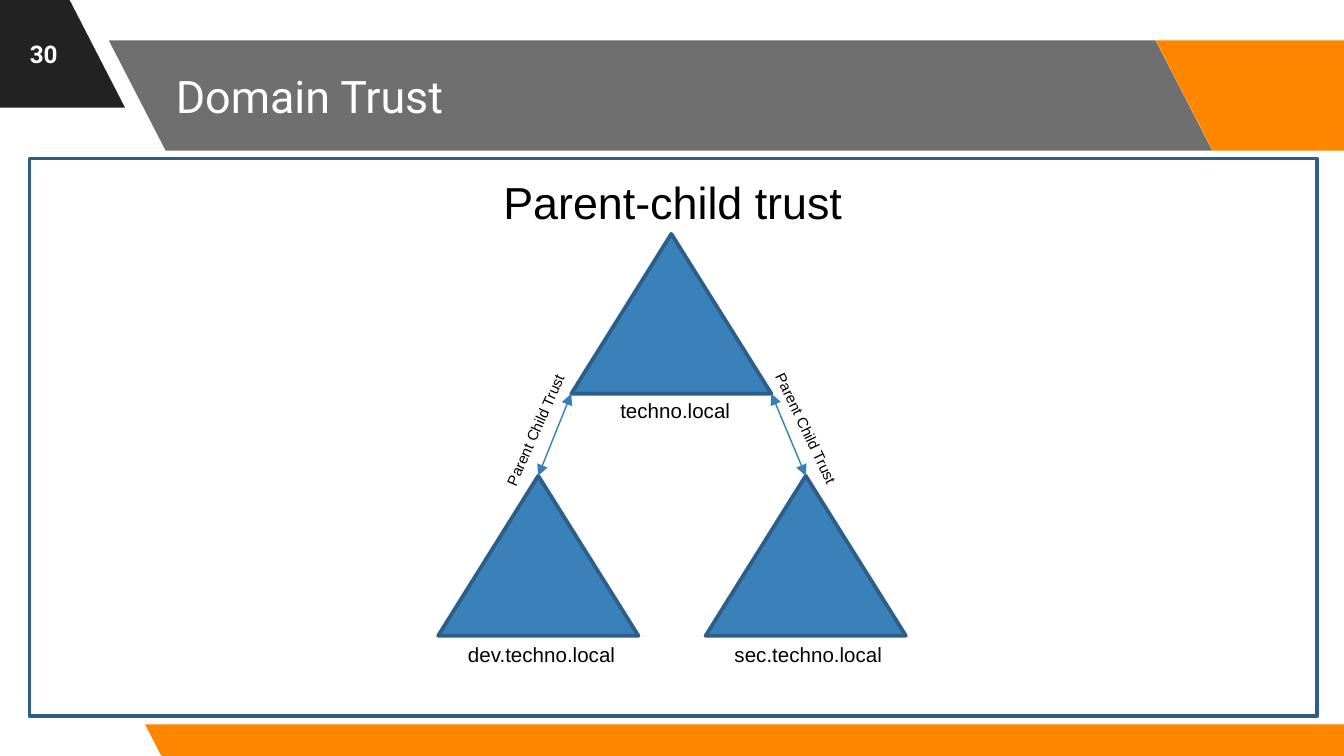
from pptx import Presentation
from pptx.dml.color import RGBColor
from pptx.enum.shapes import MSO_CONNECTOR, MSO_SHAPE
from pptx.enum.text import MSO_ANCHOR, MSO_AUTO_SIZE, PP_ALIGN
from pptx.oxml.ns import qn
from pptx.util import Inches, Pt
from lxml import etree

STRAIGHT = MSO_CONNECTOR.STRAIGHT
PARALLELOGRAM = MSO_SHAPE.PARALLELOGRAM
RECTANGLE = MSO_SHAPE.RECTANGLE
TRIANGLE = MSO_SHAPE.ISOSCELES_TRIANGLE
MIDDLE, TOP = MSO_ANCHOR.MIDDLE, MSO_ANCHOR.TOP
FIT_SHAPE, FIXED = MSO_AUTO_SIZE.SHAPE_TO_FIT_TEXT, MSO_AUTO_SIZE.NONE
LEFT, CENTER = PP_ALIGN.LEFT, PP_ALIGN.CENTER

COLORS = {
    "black": "000000",
    "white": "FFFFFF",
    "charcoal": "222222",
    "orange": "FF8700",
    "domain": "3A81BA",
    "outline": "2B5F8A",
    "trust": "367EB9",
}
DOMAIN_W, DOMAIN_H = 1.49, 1.19


def color(name):
    return RGBColor.from_string(COLORS[name])


class TrustSlide:
    def __init__(self, slide):
        self.shapes = slide.shapes

    def shape(self, kind, box, fill=None, line=None):
        shape = self.shapes.add_shape(kind, *map(Inches, box))
        shape.shadow.inherit = False
        if fill:
            shape.fill.solid()
            shape.fill.fore_color.rgb = color(fill)
        else:
            shape.fill.background()
        if line:
            shape.line.color.rgb = color(line)
            shape.line.width = Pt(2)
        else:
            shape.line.fill.background()
        return shape

    def band(self, box, fill, opacity=None):
        """Add a borderless slanted band leaning to the left."""
        band = self.shape(PARALLELOGRAM, box, fill)
        band.adjustments[0] = 0.515
        properties = band.element.spPr
        properties.find(qn("a:xfrm")).set("flipH", "1")
        if opacity:
            fill_color = properties.find(qn("a:solidFill"))[0]
            etree.SubElement(fill_color, qn("a:alpha")).set("val", str(opacity * 1000))

    def domain(self, left, top):
        return self.shape(TRIANGLE, (left, top, DOMAIN_W, DOMAIN_H), "domain", "outline")

    def trust_arrow(self, corner, child):
        """Join a corner of the parent domain to the apex of a child domain."""
        arrow = self.shapes.add_connector(STRAIGHT, *map(Inches, corner), 0, 0)
        arrow.end_connect(child, 0)
        arrow.line.color.rgb = color("trust")
        arrow.line.width = Pt(0.75)
        line = arrow.line._get_or_add_ln()
        for end in ("a:headEnd", "a:tailEnd"):
            etree.SubElement(line, qn(end)).set("type", "triangle")
        etree.SubElement(arrow.element.spPr, qn("a:effectLst"))

    def text(self, box, words, size, font="Arial", fill="black", bold=False,
             align=CENTER, rotation=0):
        label = self.shapes.add_textbox(*map(Inches, box))
        label.rotation = rotation
        frame = label.text_frame
        frame.text = words
        frame.word_wrap = False
        frame.auto_size = FIT_SHAPE
        frame.vertical_anchor = TOP
        paragraph = frame.paragraphs[0]
        paragraph.alignment = align
        run_font = paragraph.runs[0].font
        run_font.name, run_font.size, run_font.bold = font, Pt(size), bold
        run_font.color.rgb = color(fill)
        return frame

    def header_text(self, box, words, size, **style):
        frame = self.text(box, words, size, "Roboto", "white", **style)
        frame.word_wrap = True
        frame.auto_size = FIXED
        frame.vertical_anchor = MIDDLE
        frame.margin_left = frame.margin_right = Inches(0.1)
        frame.margin_top = frame.margin_bottom = Inches(0.1)


def main():
    deck = Presentation()
    deck.slide_width = Inches(10)
    deck.slide_height = deck.slide_width * 9 // 16
    page = TrustSlide(deck.slides.add_slide(deck.slide_layouts[6]))

    page.band((-0.99, -0.02, 1.92, 0.82), "charcoal")
    page.band((0.81, 0.3, 8.21, 0.82), "charcoal", opacity=65)
    page.band((8.6, 0.3, 1.92, 0.82), "orange")
    page.band((1.08, 5.39, 9.15, 0.25), "orange")
    page.header_text((1.21, 0.3, 7.35, 0.82), "Domain Trust", 24, align=LEFT)
    page.header_text((0, 0, 0.65, 0.8), "30", 13, bold=True)

    page.shape(RECTANGLE, (0.22, 1.18, 9.58, 4.15), line="outline")
    page.text((3.63, 1.25, 2.75, 0.5), "Parent-child trust", 24)

    parent_left, parent_top, child_top = 4.25, 1.74, 3.54
    page.domain(parent_left, parent_top)
    sec = page.domain(5.25, child_top)
    dev = page.domain(3.26, child_top)
    parent_base = parent_top + DOMAIN_H
    page.trust_arrow((parent_left, parent_base), dev)
    page.trust_arrow((parent_left + DOMAIN_W, parent_base), sec)

    for box, name in (
        ((4.51, 2.91, 1.03, 0.29), "techno.local"),
        ((3.37, 4.73, 1.32, 0.29), "dev.techno.local"),
        ((5.36, 4.73, 1.31, 0.29), "sec.techno.local"),
    ):
        page.text(box, name, 11)
    for left, top, rotation in ((3.43, 3.08, 294), (5.44, 3.07, 64.4)):
        page.text((left, top, 1.11, 0.24), "Parent Child Trust", 8, rotation=rotation)

    deck.save("out.pptx")


if __name__ == "__main__":
    main()
